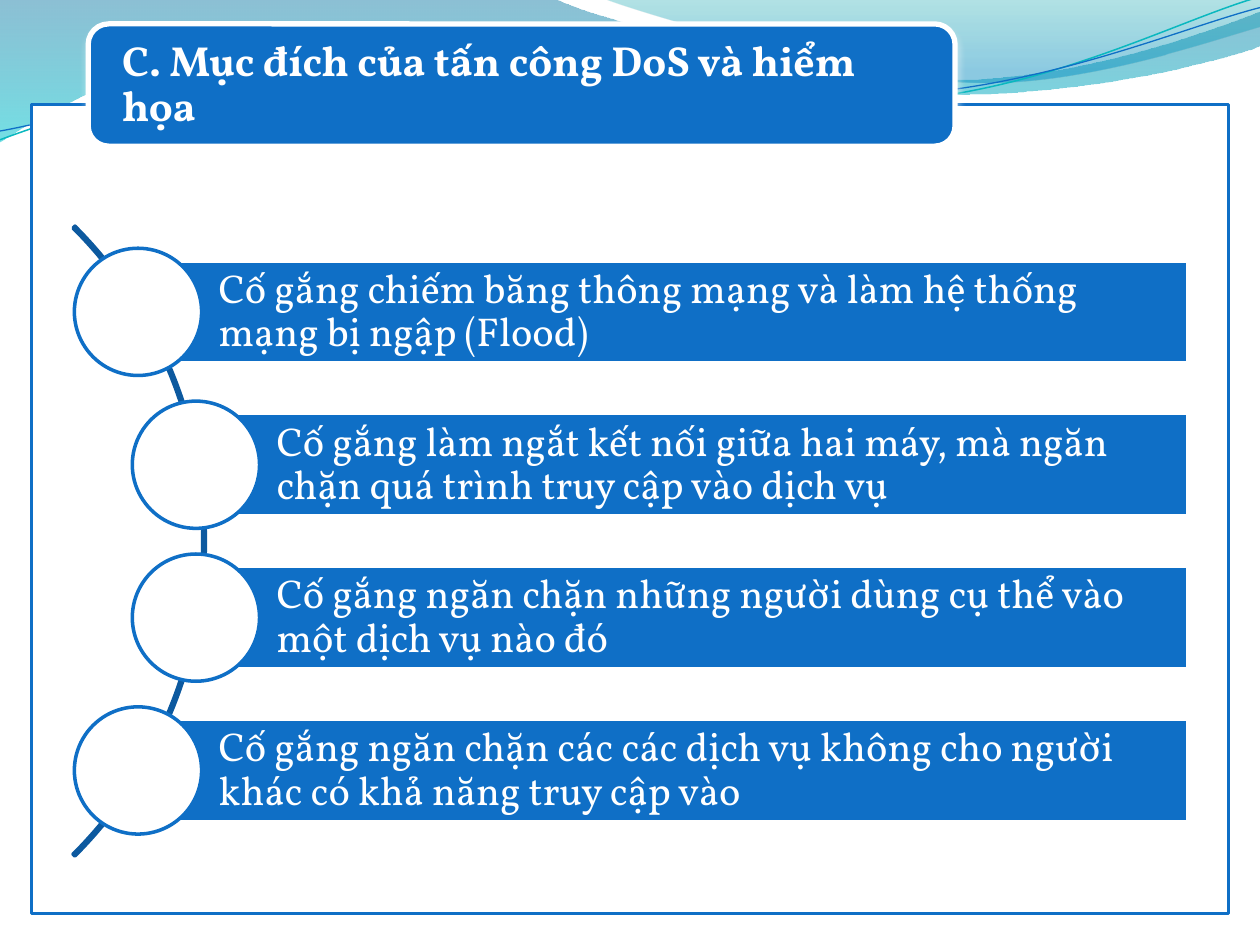
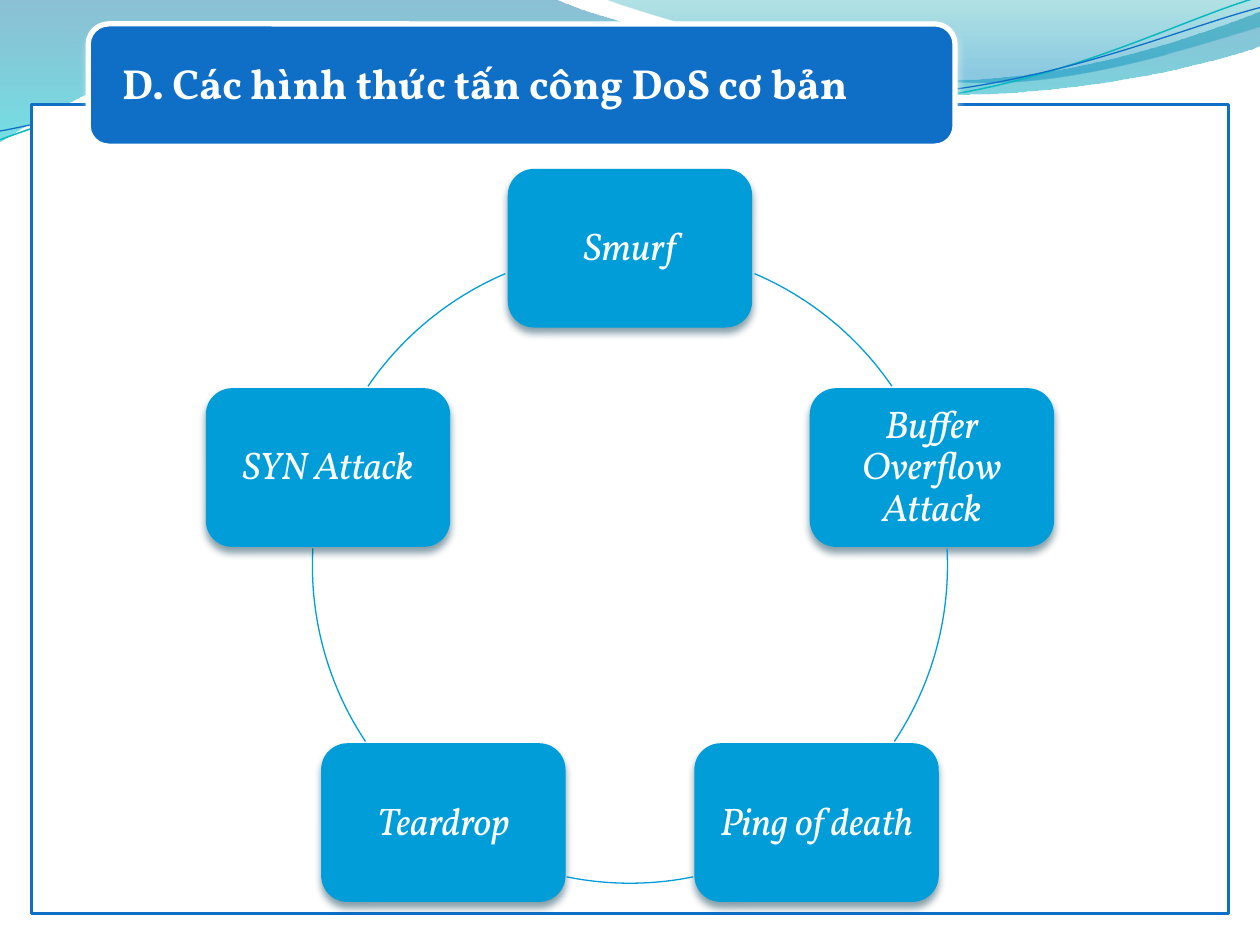
from collections import namedtuple
from math import cos, radians, sin, tan

from lxml import etree
from pptx import Presentation
from pptx.dml.color import RGBColor
from pptx.enum.shapes import MSO_SHAPE
from pptx.enum.text import MSO_ANCHOR, MSO_AUTO_SIZE, PP_ALIGN
from pptx.oxml.ns import qn
from pptx.util import Inches, Pt

RECTANGLE = MSO_SHAPE.RECTANGLE
ROUNDED = MSO_SHAPE.ROUNDED_RECTANGLE
OVAL = MSO_SHAPE.OVAL
BLOCK_ARC = MSO_SHAPE.BLOCK_ARC
LEFT, CENTER = PP_ALIGN.LEFT, PP_ALIGN.CENTER
MIDDLE = MSO_ANCHOR.MIDDLE
NO_AUTOFIT = MSO_AUTO_SIZE.NONE

FONT = "Vollkorn"
TITLE_ONLY = 5
WHITE = RGBColor(0xFF, 0xFF, 0xFF)
BLUE = RGBColor(0x0F, 0x6F, 0xC6)
DARK_BLUE = RGBColor(0x0C, 0x59, 0x9F)
SKY = RGBColor(0x00, 0x9D, 0xD9)
TEAL = RGBColor(0x0A, 0xB8, 0xBF)
WAVE_NAVY = RGBColor(0x00, 0x74, 0xA1)
WAVE_AQUA = RGBColor(0x00, 0xC6, 0xCF)
WAVE_GREEN = RGBColor(0x00, 0xA1, 0xA9)
WAVE_BLUE = RGBColor(0x00, 0x8B, 0xBF)
NODE_SHADOW = RGBColor(0x00, 0x37, 0x4C)

Box = namedtuple("Box", "left top width height")
FRAME = Box(0.25, 0.83, 9.5, 6.42)
TITLE_BAND = Box(0.7, 0.19, 6.88, 0.97)
PURPOSE_LIST = Box(0.59, 1.79, 8.84, 5.01)
ATTACK_RING = Box(2.48, 1.97, 5.04, 5.04)
LEFT_WAVE_BOX = Box(-0.01, -0.01, 10.02, 1.14)
RIGHT_WAVE_BOX = Box(4.79, -0.01, 5.21, 0.7)
TEAL_STRAND_BOX = Box(-0.02, 0.22, 10.02, 0.71)
BLUE_STRAND_BOX = Box(-0.02, 0.3, 10.03, 0.58)
STRAND_TILT = 357.3

LEFT_WAVE = [
    (0, 0), (4.4, -0.01),
    (4.76, 0.17, 6.64, 0.63, 7.58, 0.63), (8.53, 0.63, 9.58, 0.26, 10, 0.09),
    (10.01, 0.36),
    (9.83, 0.44, 8.7, 0.76, 7.46, 0.75), (6.22, 0.75, 3.82, 0.28, 2.57, 0.34),
    (1.29, 0.36, 0.46, 0.83, -0.01, 1.13), (0, 0),
]
RIGHT_WAVE = [
    (4.79, -0.01),
    (5.09, 0.11, 6.82, 0.62, 7.69, 0.65), (8.56, 0.69, 9.61, 0.32, 10, 0.21),
    (10, 0), (4.79, -0.01),
]
TEAL_STRAND = [
    (0, 1.11), (0.48, 0.93, 1.58, 0.57, 2.77, 0.52),
    (3.95, 0.47, 5.93, 0.89, 7.13, 0.8), (8.33, 0.71, 9.38, 0.15, 9.98, -0.02),
]
BLUE_STRAND = [
    (0, 1.04), (0.47, 0.96, 1.64, 0.61, 2.83, 0.56),
    (4.03, 0.51, 5.97, 0.84, 7.17, 0.75), (8.36, 0.67, 9.41, 0.21, 10, 0.06),
]

PURPOSES = [
    "Cố gắng chiếm băng thông mạng và làm hệ thống mạng bị ngập (Flood)",
    "Cố gắng làm ngắt kết nối giữa hai máy, mà ngăn chặn quá trình truy cập vào dịch vụ",
    "Cố gắng ngăn chặn những người dùng cụ thể vào một dịch vụ nào đó",
    "Cố gắng ngăn chặn các các dịch vụ không cho người khác có khả năng truy cập vào",
]
ATTACKS = ["Smurf", "Buffer Overflow Attack", "Ping of death", "Teardrop", "SYN Attack"]
RING_GAPS = [(23.1, 55.6), (86.9, 123.6), (168.5, 191.5), (236.4, 273.1), (304.4, 336.9)]


def set_alpha(color, percent):
    """Make an XML colour element partly transparent."""
    etree.SubElement(color, qn("a:alpha"), val=str(percent * 1000))


def paint(shape, fill=None, line=None, width=1):
    """Set the fill and outline, with none where no colour is given."""
    shape.shadow.inherit = False
    if fill is None:
        shape.fill.background()
    else:
        shape.fill.solid()
        shape.fill.fore_color.rgb = fill
    if line is None:
        shape.line.fill.background()
    else:
        shape.line.color.rgb = line
        shape.line.width = Pt(width)


def add_box(slide, kind, box, fill=None, line=None, width=1):
    """Add a painted preset shape."""
    shape = slide.shapes.add_shape(kind, *map(Inches, box))
    paint(shape, fill, line, width)
    return shape


def add_shadow(shape, color):
    """Give a shape a soft shadow below it."""
    effects = shape.element.spPr.find(qn("a:effectLst"))
    shadow = etree.SubElement(effects, qn("a:outerShdw"), blurRad=str(Pt(4.5)),
                              dist=str(Pt(3)), dir="5400000", rotWithShape="0")
    set_alpha(etree.SubElement(shadow, qn("a:srgbClr"), val=str(color)), 48)


def write(shape, text, size, insets, align=LEFT, bold=False, italic=False):
    """Fill a shape with one white, vertically centred paragraph."""
    frame = shape.text_frame
    frame.text = text
    frame.word_wrap = True
    frame.auto_size = NO_AUTOFIT
    frame.vertical_anchor = MIDDLE
    (frame.margin_left, frame.margin_top,
     frame.margin_right, frame.margin_bottom) = map(Inches, insets)
    para = frame.paragraphs[0]
    para.alignment = align
    para.line_spacing = 0.9
    font = para.runs[0].font
    font.name, font.size, font.color.rgb = FONT, Pt(size), WHITE
    font.bold, font.italic = bold, italic


def add_curve(slide, box, segments, rotation=0, close=False):
    """Add a freeform of corners and cubic segments, given as slide positions."""
    right, bottom = box.left + box.width, box.top + box.height
    builder = slide.shapes.build_freeform(Inches(box.left), Inches(box.top))
    builder.add_line_segments([(Inches(right), Inches(bottom))], close=False)
    shape = builder.convert_to_shape()
    shape.rotation = rotation
    outline = next(shape.element.iter(qn("a:path")))
    for child in list(outline):
        outline.remove(child)
    turn = radians(-rotation)
    for index, segment in enumerate(segments):
        kind = "a:moveTo" if index == 0 else "a:lnTo" if len(segment) == 2 else "a:cubicBezTo"
        command = etree.SubElement(outline, qn(kind))
        for x, y in zip(segment[::2], segment[1::2]):
            across = x - box.left - box.width / 2
            down = y - box.top - box.height / 2
            local_x = across * cos(turn) - down * sin(turn) + box.width / 2
            local_y = across * sin(turn) + down * cos(turn) + box.height / 2
            etree.SubElement(command, qn("a:pt"), x=str(Inches(local_x)), y=str(Inches(local_y)))
    if close:
        etree.SubElement(outline, qn("a:close"))
    return shape


def add_wave(slide, box, segments, stops):
    """Add a wave with a transparent downward gradient."""
    wave = add_curve(slide, box, segments, close=True)
    paint(wave)
    wave.fill.gradient()
    wave.fill.gradient_angle = 270
    for stop, (position, color, _) in zip(wave.fill.gradient_stops, stops):
        stop.position = position
        stop.color.rgb = color
    colors = wave.element.spPr.find(qn("a:gradFill")).iter(qn("a:srgbClr"))
    for color, (_, _, alpha) in zip(list(colors), stops):
        set_alpha(color, alpha)


def add_backdrop(slide):
    """Draw the waves, strands and content frame."""
    add_wave(slide, LEFT_WAVE_BOX, LEFT_WAVE, [(0, WAVE_NAVY, 45), (1, WAVE_AQUA, 55)])
    add_wave(slide, RIGHT_WAVE_BOX, RIGHT_WAVE, [(0, WAVE_GREEN, 30), (0.8, WAVE_BLUE, 45)])
    for box, segments, color, width in ((TEAL_STRAND_BOX, TEAL_STRAND, TEAL, 0.85),
                                        (BLUE_STRAND_BOX, BLUE_STRAND, BLUE, 0.75)):
        paint(add_curve(slide, box, segments, STRAND_TILT), line=color, width=width)
    add_box(slide, RECTANGLE, FRAME, WHITE, BLUE, 2)


def add_title(slide, text, box):
    """Draw the title band and set the title placeholder over it."""
    add_shadow(add_box(slide, ROUNDED, box, BLUE, WHITE, 3), WHITE)
    title = slide.shapes.title
    title.left, title.top = Inches(box.left + 0.03), Inches(box.top + 0.05)
    title.width, title.height = Inches(box.width - 0.06), Inches(box.height - 0.09)
    write(title, text, 24, (0.24, 0, 0.24, 0), bold=True)
    title.element.getparent().append(title.element)


def add_purpose_list(slide, purposes, box):
    """Lay out bars with circles along a curved spine."""
    diameter, bar_height, circle, margin = 7.07, 0.81, 1.01, 0.28
    spine = add_box(slide, BLOCK_ARC,
                    Box(box.left - 6.03, box.top - 1.03, diameter, diameter),
                    line=DARK_BLUE, width=2)
    for index, value in enumerate((189, 27, 0.003)):
        spine.adjustments[index] = value
    last = len(purposes) - 1
    step = (box.height - 2 * margin - bar_height) / last
    for index, purpose in enumerate(purposes):
        left = box.left + (0 if index in (0, last) else 0.46)
        top = box.top + margin + index * step
        bar_left = left + circle / 2
        bar = add_box(slide, RECTANGLE,
                      Box(bar_left, top, box.left + box.width - bar_left, bar_height),
                      BLUE, WHITE, 2)
        write(bar, purpose, 23, (0.64, 0.06, 0.06, 0.06))
        add_box(slide, OVAL, Box(left, top - (circle - bar_height) / 2, circle, circle),
                WHITE, BLUE, 2)


def add_attack_ring(slide, attacks, box):
    """Space rounded nodes evenly on a circle and join them with arcs."""
    radius, node_width, node_height = box.width / 2, 1.94, 1.26

    def on_ring(degrees, reach=0):
        """Return a ring point clockwise from the top, moved along its tangent."""
        angle = radians(degrees)
        return (box.left + radius * (1 + sin(angle) + reach * cos(angle)),
                box.top + radius * (1 - cos(angle) + reach * sin(angle)))

    for index, (attack, (start, end)) in enumerate(zip(attacks, RING_GAPS)):
        x, y = on_ring(index * 360 / len(attacks))
        node = add_box(slide, ROUNDED,
                       Box(x - node_width / 2, y - node_height / 2, node_width, node_height), SKY)
        add_shadow(node, NODE_SHADOW)
        write(node, attack, 22, (0.09,) * 4, CENTER, italic=True)
        reach = 4 / 3 * tan(radians(end - start) / 4)
        arc = [on_ring(start), on_ring(start, reach) + on_ring(end, -reach) + on_ring(end)]
        paint(add_curve(slide, box, arc), line=SKY, width=0.75)


def add_slide(deck, title, add_content, items, box):
    """Add a slide with the shared backdrop, its content and its title."""
    slide = deck.slides.add_slide(deck.slide_layouts[TITLE_ONLY])
    add_backdrop(slide)
    add_content(slide, items, box)
    add_title(slide, title, TITLE_BAND)


def main():
    """Build and save the deck."""
    deck = Presentation()
    deck.slide_width, deck.slide_height = Inches(10), Inches(7.5)
    add_slide(deck, "C. Mục đích của tấn công DoS và hiểm họa",
              add_purpose_list, PURPOSES, PURPOSE_LIST)
    add_slide(deck, "D. Các hình thức tấn công DoS cơ bản",
              add_attack_ring, ATTACKS, ATTACK_RING)
    deck.save("out.pptx")


if __name__ == "__main__":
    main()
